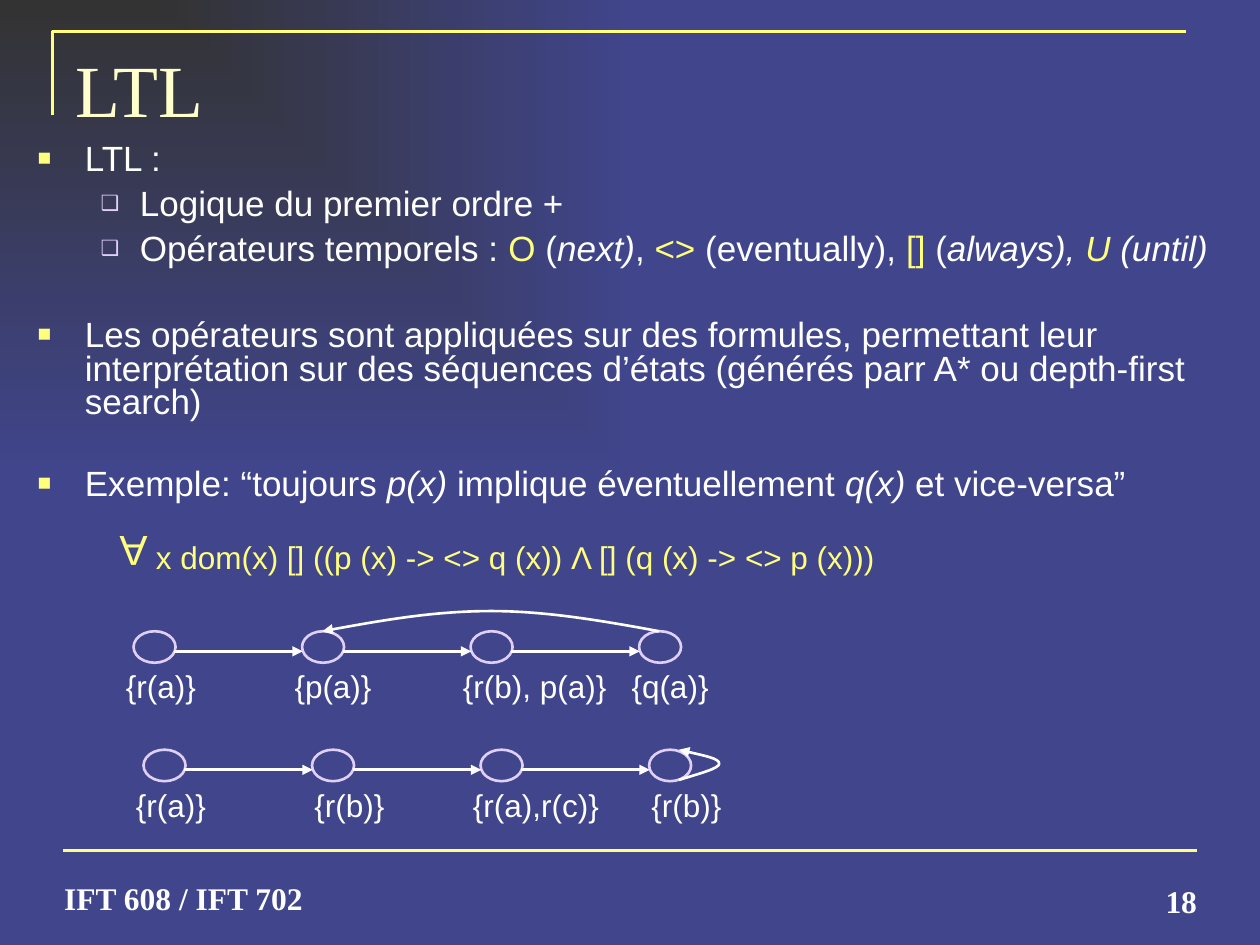
from dataclasses import dataclass

from lxml import etree
from pptx import Presentation
from pptx.dml.color import RGBColor
from pptx.enum.shapes import MSO_CONNECTOR, MSO_SHAPE
from pptx.enum.text import MSO_ANCHOR, PP_ALIGN
from pptx.oxml.ns import qn
from pptx.util import Pt

LINE, OVAL = MSO_CONNECTOR.STRAIGHT, MSO_SHAPE.OVAL
TOP, BOTTOM = MSO_ANCHOR.TOP, MSO_ANCHOR.BOTTOM
LEFT, RIGHT = PP_ALIGN.LEFT, PP_ALIGN.RIGHT


@dataclass(frozen=True)
class Theme:
    dark: str = "333333"
    blue: str = "40458C"
    yellow: str = "FFFF7D"
    cream: str = "FFFFCC"
    lilac: str = "E0D0F8"
    white: str = "FFFFFF"
    serif: str = "Times New Roman"
    sans: str = "Arial"
    title: float = 42
    quantifier: float = 24
    body: float = 20
    small: float = 18
    stroke: float = 1.5


@dataclass(frozen=True)
class Span:
    text: str
    color: str = Theme.white
    italic: bool = False


@dataclass(frozen=True)
class Item:
    spans: tuple[Span, ...]
    level: int = 0
    before: float = 4.2
    spacing: float = 0.9


@dataclass(frozen=True)
class Bullet:
    char: str
    color: str
    percent: int
    margin: float
    hanging: float


@dataclass(frozen=True)
class State:
    label: str
    width: float = 55
    nudge: float = 0


@dataclass(frozen=True)
class Sequence:
    x: float
    y: float
    states: tuple[State, ...]
    loop: tuple[tuple[float, float], ...]  # Bezier points relative to x, y


T = Theme()
PITCH = 96.3
BULLETS = (Bullet("■", T.yellow, 65, 27, 27), Bullet("❑", T.lilac, 60, 58.5, 22.5))

ITEMS = (
    Item((Span("LTL :"),)),
    Item((Span("Logique du premier ordre + "),), level=1),
    Item((Span("Opérateurs temporels : "), Span("O", T.yellow), Span(" ("),
          Span("next)", italic=True), Span(", "), Span("<>", T.yellow),
          Span(" (eventually), "), Span("[] ", T.yellow), Span("("),
          Span("always), ", italic=True), Span("U", T.yellow, True),
          Span(" (until)", italic=True)), level=1),
    Item((Span("Les opérateurs sont appliquées sur des formules, permettant leur "
               "interprétation sur des séquences d’états (générés parr A* ou "
               "depth-first search)"),), before=29.5, spacing=0.8),
    Item((Span("Exemple: “toujours "), Span("p(x)", italic=True),
          Span(" implique éventuellement "), Span("q(x)", italic=True),
          Span(" et vice-versa”")), before=27.5, spacing=0.8),
)

SEQUENCES = (
    Sequence(82, 428.4,
             (State("{r(a)}"), State("{r(b)}", nudge=5.7),
              State("{r(a),r(c)}", 87), State("{r(b)}", nudge=5.7)),
             ((306, 17.3), (317.5, 13.7), (329, 10.8), (329, 8),
              (329, 5), (317.5, 2.9), (306, 0))),
    Sequence(76.3, 360.7,
             (State("{r(a)}"), State("{p(a)}", 59), State("{r(b), p(a)}", 97),
              State("{q(a)}", 59)),
             ((300.3, 0), (268.6, -5.8), (236.2, -11.5), (204.5, -11.5),
              (172.1, -11.5), (139.7, -5.8), (108, 0))),
)


def rgb(color: str) -> RGBColor:
    return RGBColor.from_string(color)


def stroke(shape, color: str, arrow: bool = False) -> None:
    shape.line.color.rgb = rgb(color)
    shape.line.width = Pt(T.stroke)
    if arrow:
        etree.SubElement(shape.line._get_or_add_ln(), qn("a:tailEnd"), type="triangle")


def add_line(s, x1: float, y1: float, x2: float, y2: float, color: str,
             arrow: bool = False) -> None:
    line = s.shapes.add_connector(LINE, Pt(x1), Pt(y1), Pt(x2), Pt(y2))
    stroke(line, color, arrow)
    etree.SubElement(line._element.spPr, qn("a:effectLst"))


def add_path(s, points: list[tuple[float, float]], color: str,
             curved: bool = False) -> None:
    start, *rest = [(Pt(x), Pt(y)) for x, y in points]
    builder = s.shapes.build_freeform(*start)
    builder.add_line_segments(rest, close=False)
    shape = builder.convert_to_shape()
    shape.shadow.inherit = False
    shape.fill.background()
    stroke(shape, color, arrow=curved)
    if curved:  # every three points make one cubic segment
        path = next(shape._element.iter(qn("a:path")))
        segments = path.findall(qn("a:lnTo"))
        for i in range(0, len(segments), 3):
            curve = etree.SubElement(path, qn("a:cubicBezTo"))
            for segment in segments[i:i + 3]:
                curve.append(segment[0])
                path.remove(segment)


def add_frame(s, x: float, y: float, w: float, h: float, margins=(7.2, 3.6),
              wrap: bool = True, anchor=TOP):
    sp = s.shapes.add_textbox(Pt(x), Pt(y), Pt(w), Pt(h))
    tf = sp.text_frame
    tf.word_wrap, tf.vertical_anchor = wrap, anchor
    tf.margin_left = tf.margin_right = Pt(margins[0])
    tf.margin_top = tf.margin_bottom = Pt(margins[1])
    return sp


def style(r, size: float, color: str, font: str, bold=False, italic=False) -> None:
    r.font.size, r.font.name = Pt(size), font
    r.font.bold, r.font.italic = bold, italic
    r.font.color.rgb = rgb(color)


def add_text(s, text: str, x: float, y: float, w: float, h: float, size: float,
             color: str, font: str, bold=False, align=LEFT, **frame):
    sp = add_frame(s, x, y, w, h, **frame)
    sp.text_frame.text = text
    p = sp.text_frame.paragraphs[0]
    p.alignment = align
    style(p.runs[0], size, color, font, bold)
    return sp


def add_item(p, item: Item) -> None:
    p.level, p.line_spacing, p.space_before = item.level, item.spacing, Pt(item.before)
    for span in item.spans:
        r = p.add_run()
        r.text = span.text
        style(r, T.body, span.color, T.sans, italic=span.italic)
    bullet = BULLETS[item.level]
    pPr = p._p.get_or_add_pPr()
    pPr.set("marL", str(Pt(bullet.margin)))
    pPr.set("indent", str(-Pt(bullet.hanging)))
    color = etree.SubElement(pPr, qn("a:buClr"))
    etree.SubElement(color, qn("a:srgbClr"), val=bullet.color)
    etree.SubElement(pPr, qn("a:buSzPct"), val=str(bullet.percent * 1000))
    etree.SubElement(pPr, qn("a:buFont"), typeface=T.sans)
    etree.SubElement(pPr, qn("a:buChar"), char=bullet.char)


def add_sequence(s, seq: Sequence) -> None:
    for i, state in enumerate(seq.states):
        x = seq.x + i * PITCH
        oval = s.shapes.add_shape(OVAL, Pt(x), Pt(seq.y), Pt(24), Pt(18))
        oval.shadow.inherit = False
        oval.fill.background()
        stroke(oval, T.lilac)
        if i:
            add_line(s, x - 73, seq.y + 11.5, x + 0.4, seq.y + 11.5, T.white, True)
        add_text(s, state.label, x - 11.4 + state.nudge, seq.y + 17, state.width, 29,
                 T.small, T.white, T.sans, wrap=False)
    add_path(s, [(seq.x + x, seq.y + y) for x, y in seq.loop], T.white, curved=True)


prs = Presentation()
prs.slide_width, prs.slide_height = Pt(720), Pt(540)
s = prs.slides.add_slide(prs.slide_layouts[6])

# Background: gradient spreading from the top left corner
fill = s.background.fill
fill.gradient()
for stop, color, position in zip(fill.gradient_stops, (T.dark, T.blue), (0, 1)):
    stop.color.rgb = rgb(color)
    stop.position = position
grad = next(s._element.iter(qn("a:gradFill")))
grad.remove(grad.find(qn("a:lin")))
shade = etree.Element(qn("a:path"), path="rect")
etree.SubElement(shade, qn("a:fillToRect"), r="100000", b="100000")
grad.find(qn("a:gsLst")).addnext(shade)

# Rules, footer and title
add_path(s, [(30, 66), (30, 18), (678, 18)], T.yellow)
add_line(s, 36, 486, 684, 486, T.yellow)
add_text(s, "18", 632, 502.5, 52, 23, T.small, T.white, T.serif, bold=True,
         align=RIGHT, margins=(0, 0), anchor=BOTTOM)
add_text(s, "IFT 608 / IFT 702", 36.7, 502.5, 148, 22, T.small, T.white, T.serif,
         bold=True, margins=(0, 0))
add_text(s, "LTL", 36, 21.6, 648, 90, T.title, T.cream, T.serif)

# Bulleted text
tf = add_frame(s, 14.4, 77, 686, 227).text_frame
for i, item in enumerate(ITEMS):
    add_item(tf.add_paragraph() if i else tf.paragraphs[0], item)

# Formula, with a turned A as the quantifier
add_text(s, "x dom(x) [] ((p (x) -> <> q (x)) Λ [] (q (x) -> <> p (x)))",
         82, 304, 476, 29, T.small, T.yellow, T.sans)
add_text(s, "A", 64.8, 298, 26.6, 36, T.quantifier, T.yellow, T.sans).rotation = 180

# State sequences
for seq in SEQUENCES:
    add_sequence(s, seq)

prs.save("out.pptx")
